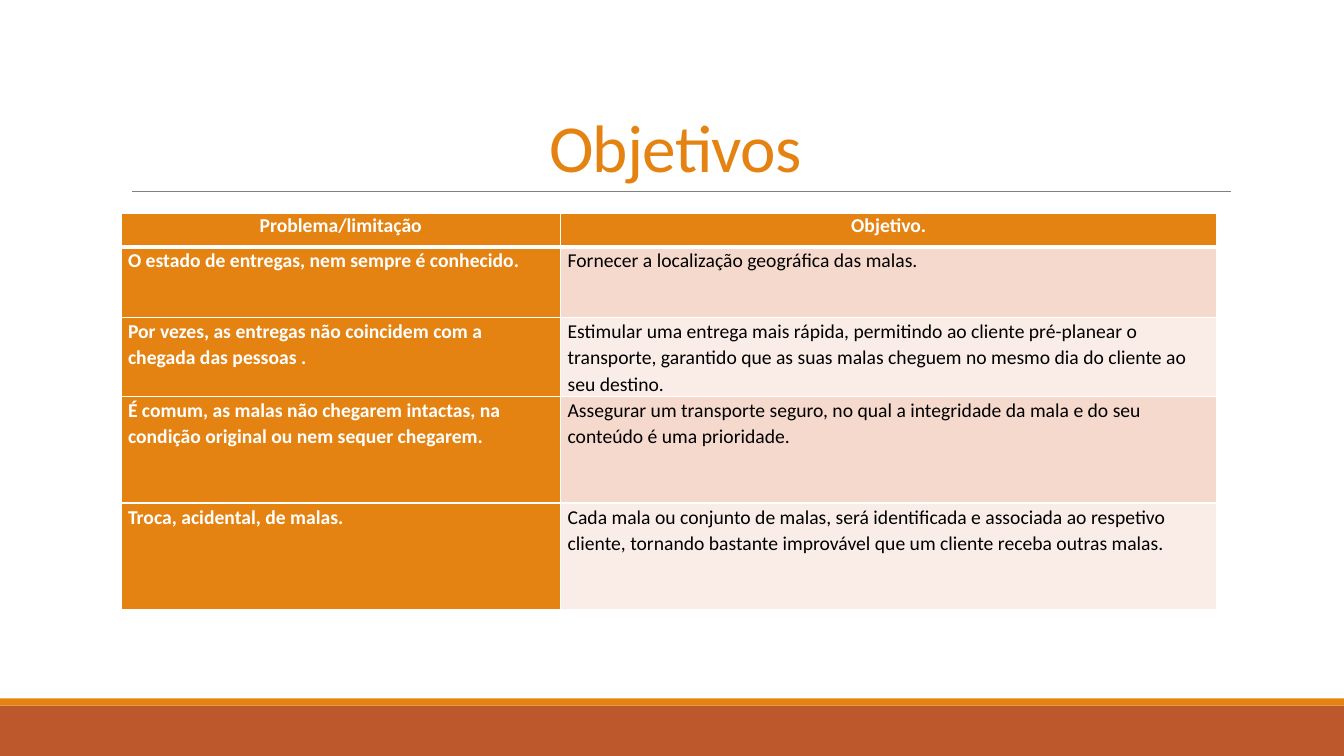
"""Build the "Objetivos" slide: problems of luggage delivery and their objectives."""
import dataclasses

import lxml.etree
import pptx
import pptx.dml.color
import pptx.enum.shapes
import pptx.enum.text
import pptx.oxml.ns
import pptx.util

HEADING = "Objetivos"
HEADERS = ("Problema/limitação", "Objetivo.")
GOALS = [
    ("O estado de entregas, nem sempre é conhecido.",
     "Fornecer a localização geográfica das malas."),
    ("Por vezes, as entregas não coincidem com a chegada das pessoas .",
     "Estimular uma entrega mais rápida, permitindo ao cliente pré-planear o transporte, "
     "garantido que as suas malas cheguem no mesmo dia do cliente ao seu destino."),
    ("É comum, as malas não chegarem intactas, na condição original ou nem sequer chegarem.",
     "Assegurar um transporte seguro, no qual a integridade da mala e do seu conteúdo "
     "é uma prioridade."),
    ("Troca, acidental, de malas.",
     "Cada mala ou conjunto de malas, será identificada e associada ao respetivo cliente, "
     "tornando bastante improvável que um cliente receba outras malas."),
]

WIDTH, HEIGHT = 13.33, 7.5
LEFT = 1.2
TABLE_TOP = 2.12
COLUMNS = (4.36, 6.51)
ROWS = (0.33, 0.7, 0.7, 1.06, 1.06)
RULE_Y = 1.9
FOOTER, STRIPE = 0.5, 0.07


@dataclasses.dataclass(frozen=True)
class Theme:
    font: str = "Calibri"
    accent: str = "E48312"
    footer: str = "BD582C"
    rule: str = "808080"
    light: str = "FFFFFF"
    dark: str = "000000"
    bands: tuple = ("F5D9CC", "FAEDE7")
    heading_size: float = 48
    table_size: float = 14
    thin: float = 1
    thick: float = 3


THEME = Theme()
inches = pptx.util.Inches


def rgb(value):
    return pptx.dml.color.RGBColor.from_string(value)


def style_run(run, size, color, bold=False):
    run.font.name = THEME.font
    run.font.size = pptx.util.Pt(size)
    run.font.bold = bold
    run.font.color.rgb = rgb(color)


def add_band(slide, top, height, color):
    band = slide.shapes.add_shape(pptx.enum.shapes.MSO_SHAPE.RECTANGLE,
                                  0, inches(top), inches(WIDTH), inches(height))
    band.shadow.inherit = False
    band.fill.solid()
    band.fill.fore_color.rgb = rgb(color)
    band.line.fill.background()


def add_rule(slide):
    rule = slide.shapes.add_connector(pptx.enum.shapes.MSO_CONNECTOR.STRAIGHT,
                                      inches(1.31), inches(RULE_Y), inches(12.21), inches(RULE_Y))
    rule.line.color.rgb = rgb(THEME.rule)
    rule.line.width = pptx.util.Pt(0.5)
    lxml.etree.SubElement(rule._element.spPr, pptx.oxml.ns.qn("a:effectLst"))


def set_heading(slide):
    heading = slide.shapes.title
    heading.left, heading.top = inches(LEFT), inches(0.31)
    heading.width, heading.height = inches(11), inches(RULE_Y - 0.31)
    frame = heading.text_frame
    frame.text = HEADING
    frame.word_wrap = True
    frame.auto_size = pptx.enum.text.MSO_AUTO_SIZE.NONE
    frame.vertical_anchor = pptx.enum.text.MSO_ANCHOR.BOTTOM
    paragraph = frame.paragraphs[0]
    paragraph.alignment = pptx.enum.text.PP_ALIGN.CENTER
    paragraph.line_spacing = 0.85
    style_run(paragraph.runs[0], THEME.heading_size, THEME.accent)
    paragraph.runs[0].font._element.set("spc", "-50")


def set_borders(cell, row):
    qn = pptx.oxml.ns.qn
    properties = cell._tc.get_or_add_tcPr()
    heavy = {0: "lnB", 1: "lnT"}.get(row)
    for side in ("lnL", "lnR", "lnT", "lnB"):
        points = THEME.thick if side == heavy else THEME.thin
        border = lxml.etree.SubElement(properties, qn(f"a:{side}"), w=str(pptx.util.Pt(points)))
        fill = lxml.etree.SubElement(border, qn("a:solidFill"))
        lxml.etree.SubElement(fill, qn("a:srgbClr"), val=THEME.light)


def fill_cell(cell, text, row, column):
    header = row == 0
    strong = header or column == 0
    cell.margin_left = cell.margin_right = inches(0.07)
    cell.margin_top = cell.margin_bottom = 0
    set_borders(cell, row)
    cell.fill.solid()
    cell.fill.fore_color.rgb = rgb(THEME.accent if strong else THEME.bands[(row - 1) % 2])
    cell.text_frame.text = text
    paragraph = cell.text_frame.paragraphs[0]
    if header:
        paragraph.alignment = pptx.enum.text.PP_ALIGN.CENTER
    else:
        paragraph.line_spacing = 1.1
    style_run(paragraph.runs[0], THEME.table_size, THEME.light if strong else THEME.dark, strong)


def add_goals(slide):
    goals = slide.shapes.add_table(len(ROWS), len(COLUMNS), inches(LEFT), inches(TABLE_TOP),
                                   inches(sum(COLUMNS)), inches(sum(ROWS))).table
    for column, width in zip(goals.columns, COLUMNS):
        column.width = inches(width)
    for row, height in zip(goals.rows, ROWS):
        row.height = inches(height)
    for r, texts in enumerate([HEADERS, *GOALS]):
        for c, text in enumerate(texts):
            fill_cell(goals.cell(r, c), text, r, c)


def main():
    deck = pptx.Presentation()
    deck.slide_width, deck.slide_height = inches(WIDTH), inches(HEIGHT)
    slide = deck.slides.add_slide(deck.slide_layouts[5])
    add_band(slide, HEIGHT - FOOTER, FOOTER, THEME.footer)
    add_band(slide, HEIGHT - FOOTER - STRIPE, STRIPE, THEME.accent)
    add_rule(slide)
    set_heading(slide)
    add_goals(slide)
    deck.save("out.pptx")


if __name__ == "__main__":
    main()
